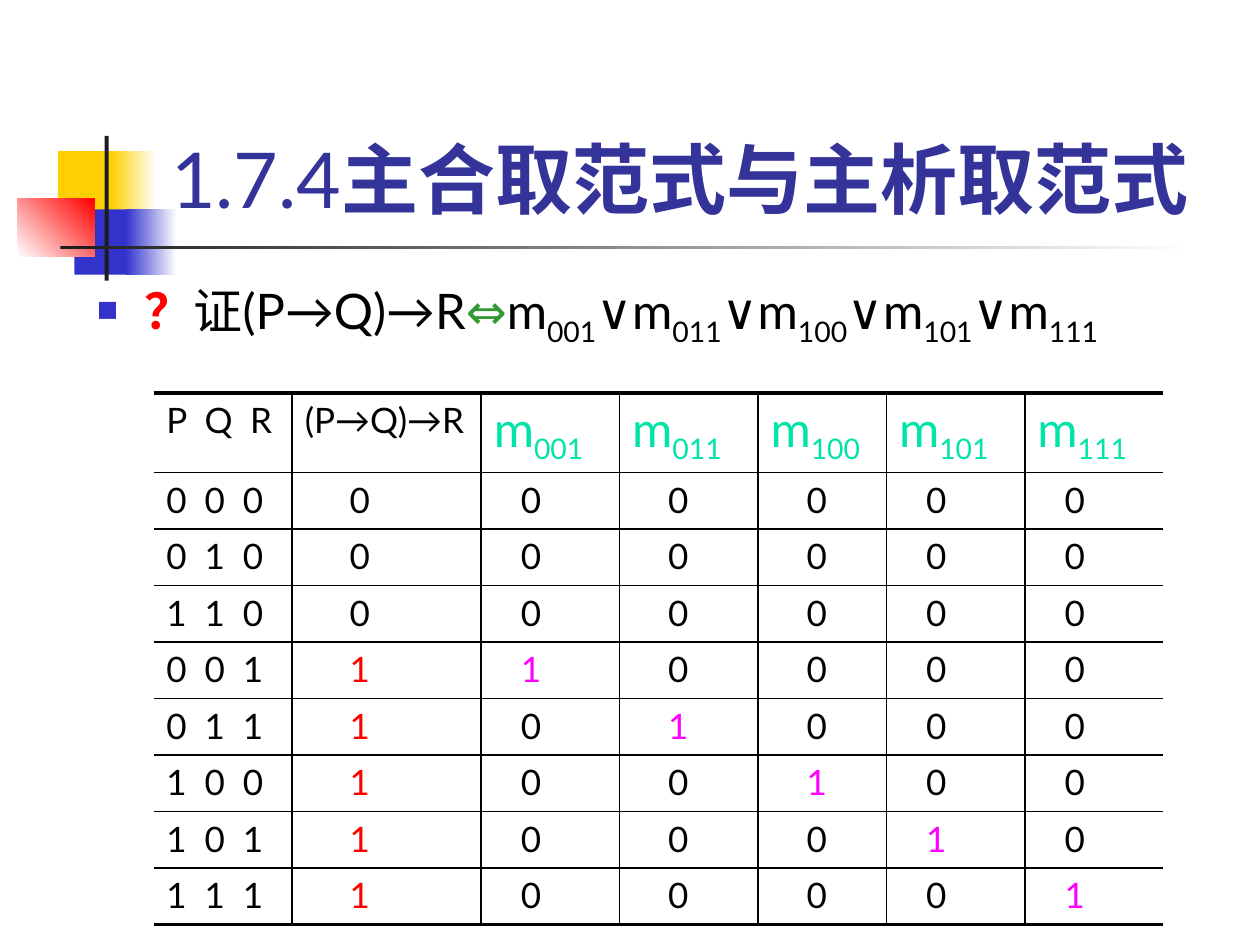
from dataclasses import dataclass
from typing import Optional

import pptx
import pptx.dml.color
import pptx.enum.shapes
import pptx.enum.text
import pptx.oxml.ns
import pptx.util
from lxml import etree

Cm = pptx.util.Cm
Pt = pptx.util.Pt


@dataclass(frozen=True)
class Theme:
    face: str = "Lato"
    title: str = "333399"
    ink: str = "000000"
    dark: str = "1C1C1C"
    white: str = "FFFFFF"
    gold: str = "FFCF01"
    blue: str = "3333CC"
    red: str = "FF0000"
    green: str = "339933"
    mint: str = "00E4A8"
    pink: str = "FF00FF"
    head: int = 44
    body: int = 28
    cell: int = 20
    thin: float = 1
    thick: float = 2.25


@dataclass(frozen=True)
class Block:
    left: float
    top: float
    width: float
    height: float
    start: str
    end: Optional[str] = None
    angle: int = 0


T = Theme()

BLOCKS = [
    Block(1.17, 3.05, 1.22, 1.32, T.gold),
    Block(2.24, 3.05, 0.91, 1.32, T.gold, T.white),
    Block(1.5, 4.22, 1.17, 1.32, T.blue),
    Block(2.54, 4.22, 1.02, 1.32, T.blue, T.white),
    Block(0.36, 4.01, 1.55, 1.17, T.white, T.red, 45),
    Block(2.11, 2.74, 0.08, 2.92, T.dark),
    Block(1.22, 4.95, 22.86, 0.08, T.dark, T.white),
]
TERMS = ["001", "011", "100", "101", "111"]
ROWS = ["000", "010", "110"] + TERMS
WIDTHS = [2.79, 3.81, 2.79, 2.79, 2.59, 2.79, 2.79]
INSET = 0.25
DENTS = [0.91, 0.55, 0.73, 0.73, 0.55, 0.55]  # left shift of the value columns


def rgb(code: str) -> pptx.dml.color.RGBColor:
    return pptx.dml.color.RGBColor.from_string(code)


def add_node(parent, tag: str, **attrs):
    node = etree.SubElement(parent, pptx.oxml.ns.qn(tag))
    for key, value in attrs.items():
        node.set(key, str(value))
    return node


def write(para, text: str, size: float = T.cell, color: str = T.ink,
          bold: bool = False, sub: bool = False) -> None:
    run = para.add_run()
    run.text = text
    font = run.font
    font.name, font.size, font.bold = T.face, Pt(size), bold
    font.color.rgb = rgb(color)
    if sub:
        run._r.get_or_add_rPr().set("baseline", "-25000")


def write_term(para, code: str, color: str = T.ink, lead: str = "") -> None:
    """Write a minterm: m with its code as subscript."""
    write(para, lead + "m", size=T.body, color=color)
    write(para, code, size=T.body, color=color, sub=True)


def draw_block(slide, block: Block) -> None:
    shape = slide.shapes.add_shape(
        pptx.enum.shapes.MSO_SHAPE.RECTANGLE,
        Cm(block.left), Cm(block.top), Cm(block.width), Cm(block.height))
    shape.shadow.inherit = False
    shape.line.fill.background()
    if block.end is None:
        shape.fill.solid()
        shape.fill.fore_color.rgb = rgb(block.start)
        return
    shape.fill.gradient()
    shape.fill.gradient_angle = block.angle
    for stop, color in zip(shape.fill.gradient_stops, (block.start, block.end)):
        stop.color.rgb = rgb(color)


def add_box(slide, left: float, top: float, width: float, height: float):
    frame = slide.shapes.add_textbox(
        Cm(left), Cm(top), Cm(width), Cm(height)).text_frame
    frame.word_wrap = True
    return frame


def draw_title(slide) -> None:
    frame = add_box(slide, 3.2, 0.58, 21.64, 4.06)
    frame.vertical_anchor = pptx.enum.text.MSO_ANCHOR.BOTTOM
    para = frame.paragraphs[0]
    write(para, "1.7.4", size=T.head, color=T.title)
    write(para, "主合取范式与主析取范式", size=T.head, color=T.title, bold=True)


def draw_claim(slide) -> None:
    para = add_box(slide, 1.7, 5.54, 23.16, 13.51).paragraphs[0]
    props = para._p.get_or_add_pPr()
    props.set("marL", str(Cm(0.97)))
    props.set("indent", str(-Cm(0.97)))
    add_node(add_node(props, "a:buClr"), "a:srgbClr", val=T.blue)
    add_node(props, "a:buSzPct", val=60000)
    add_node(props, "a:buChar", char="■")
    write(para, "？", size=T.body, color=T.red, bold=True)
    write(para, "证(P→Q)→R", size=T.body)
    write(para, "⇔", size=T.body, color=T.green)
    for i, code in enumerate(TERMS):
        write_term(para, code, lead="∨" if i else "")


def set_tabs(para, stops: list[float]) -> None:
    tabs = add_node(para._p.get_or_add_pPr(), "a:tabLst")
    for stop in stops:
        add_node(tabs, "a:tab", pos=Cm(stop), algn="l")


def rule_cell(cell, row: int, col: int) -> None:
    """Draw the cell's borders, leaving the table's sides open."""
    edges = {
        "a:lnL": T.thin if col else 0,
        "a:lnR": T.thin if col < len(WIDTHS) - 1 else 0,
        "a:lnT": T.thin if row else T.thick,
        "a:lnB": T.thin if row < len(ROWS) else T.thick,
    }
    props = cell._tc.get_or_add_tcPr()
    for tag, width in edges.items():
        line = add_node(props, tag, w=Pt(width))
        if width:
            add_node(add_node(line, "a:solidFill"), "a:srgbClr", val=T.ink)
        else:
            add_node(line, "a:noFill")
    cell.fill.background()


def fill_head(grid) -> None:
    paras = [cell.text_frame.paragraphs[0] for cell in grid.rows[0].cells]
    set_tabs(paras[0], [0.77, 1.69])
    write(paras[0], "P\tQ\tR")
    write(paras[1], "(P→Q)→R")
    for para, code in zip(paras[2:], TERMS):
        write_term(para, code, color=T.mint)


def fill_row(grid, row: int, code: str) -> None:
    first, *rest = grid.rows[row].cells
    para = first.text_frame.paragraphs[0]
    set_tabs(para, [0.77, 1.54])
    write(para, "\t".join(code))
    hits = [code in TERMS] + [code == term for term in TERMS]
    for i, (cell, hit, dent) in enumerate(zip(rest, hits, DENTS)):
        cell.margin_left = Cm(INSET + dent)
        color = (T.pink if i else T.red) if hit else T.ink
        write(cell.text_frame.paragraphs[0], str(int(hit)), color=color)


def draw_table(slide) -> None:
    grid = slide.shapes.add_table(
        len(ROWS) + 1, len(WIDTHS), Cm(3.1), Cm(7.92),
        Cm(sum(WIDTHS)), Cm(10.57)).table
    grid.first_row = grid.horz_banding = False
    for col, width in zip(grid.columns, WIDTHS):
        col.width = Cm(width)
    for r, row in enumerate(grid.rows):
        row.height = Cm(1.14 if r else 1.45)
        for c, cell in enumerate(row.cells):
            rule_cell(cell, r, c)
    fill_head(grid)
    for r, code in enumerate(ROWS, 1):
        fill_row(grid, r, code)


def main() -> None:
    deck = pptx.Presentation()
    deck.slide_width, deck.slide_height = Cm(25.4), Cm(19.05)
    slide = deck.slides.add_slide(deck.slide_layouts[6])
    for block in BLOCKS:
        draw_block(slide, block)
    draw_title(slide)
    draw_claim(slide)
    draw_table(slide)
    deck.save("out.pptx")


if __name__ == "__main__":
    main()
